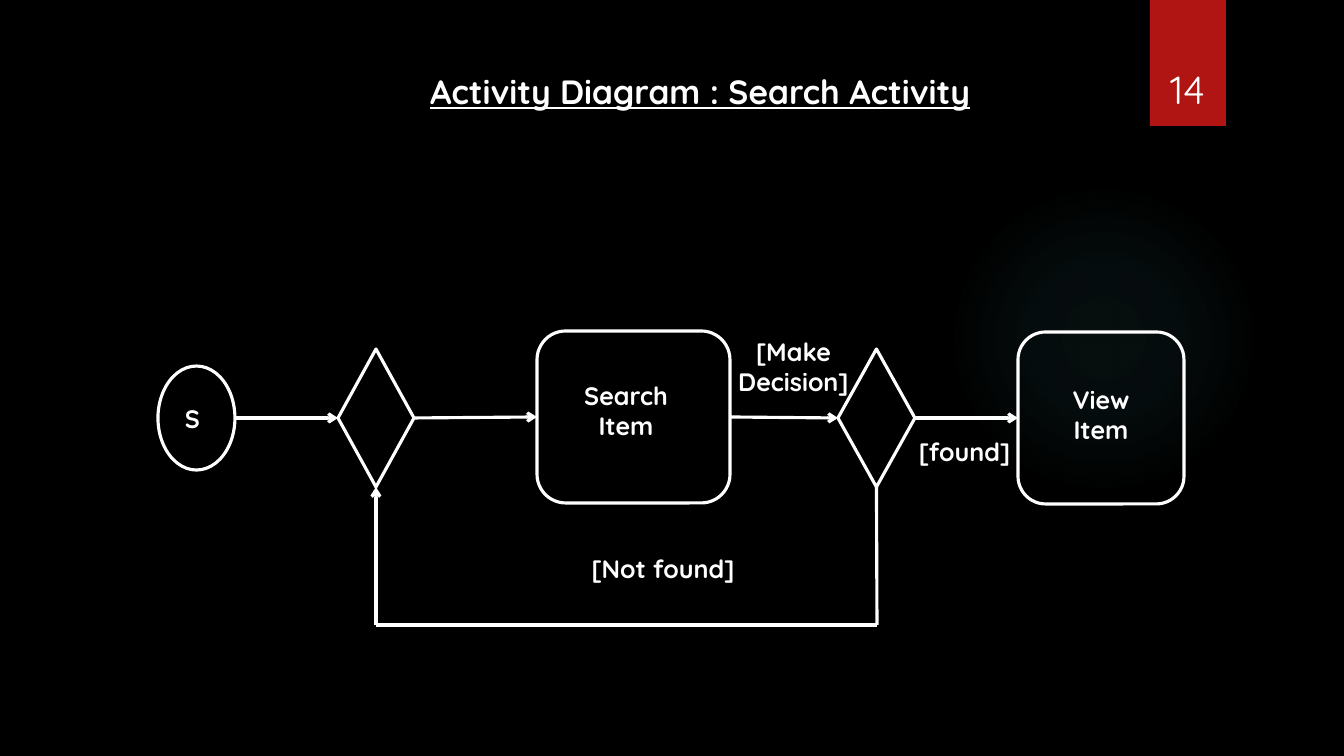
"""Build the search activity diagram slide."""
from dataclasses import dataclass

from lxml.etree import SubElement
from pptx import Presentation
from pptx.dml.color import RGBColor
from pptx.enum.shapes import MSO_CONNECTOR, MSO_SHAPE
from pptx.enum.text import MSO_ANCHOR, PP_ALIGN
from pptx.oxml import parse_xml
from pptx.oxml.ns import nsdecls, qn
from pptx.util import Pt


@dataclass(frozen=True)
class Theme:
    font: str = "Quicksand"
    background: RGBColor = RGBColor(0, 0, 0)
    ink: RGBColor = RGBColor(255, 255, 255)
    ribbon: RGBColor = RGBColor(0xB0, 0x15, 0x13)
    glow: str = "50B9C1"
    label_size: int = 18
    title_size: int = 24
    number_size: int = 28
    stroke: float = 2.25


THEME = Theme()
EMU_PER_PX = 914400 / 100.8
SLIDE_SIZE = (1344, 756)
TITLE = ("Activity Diagram : Search Activity", (420, 66, 624, 50))
PAGE_NUMBER = ("14", (1141, 32, 93, 85))
RIBBON_BOX = (1150, 0, 76, 126)
GLOW_BOX = (949, 184, 310, 310)
GLOW_STOPS = [(0, 7), (36, 6), (69, 0)]
TOP, LEFT, BOTTOM, RIGHT = range(4)

NODES = {
    "start": (MSO_SHAPE.OVAL, (158, 366, 77, 104)),
    "merge": (MSO_SHAPE.DIAMOND, (338, 349, 76, 138)),
    "search": (MSO_SHAPE.ROUNDED_RECTANGLE, (537, 331, 193, 172)),
    "decision": (MSO_SHAPE.DIAMOND, (838, 349, 77, 138)),
    "view": (MSO_SHAPE.ROUNDED_RECTANGLE, (1018, 332, 166, 172)),
}
START_EXIT = (235, 418)
LOOP_RIGHT = (877, 625)
LOOP_LEFT = (376, 625)
FLOWS = [
    (START_EXIT, ("merge", LEFT), True),
    (("merge", RIGHT), ("search", LEFT), True),
    (("search", RIGHT), ("decision", LEFT), True),
    (("decision", RIGHT), ("view", LEFT), True),
    (("decision", BOTTOM), LOOP_RIGHT, False),
    (LOOP_RIGHT, LOOP_LEFT, False),
    (LOOP_LEFT, ("merge", BOTTOM), True),
]
LABELS = [
    ("S", (175, 398, 49, 40), {"align": PP_ALIGN.LEFT}),
    ("Search Item", (568, 375, 116, 71), {}),
    ("View Item", (1039, 379, 124, 71), {}),
    ("[Make Decision]", (720, 331, 147, 71), {}),
    ("[found]", (889, 431, 151, 84), {"wrap": False}),
    ("[Not found]", (553, 548, 220, 84), {"wrap": False}),
]


def px(*lengths):
    """Turn pixel lengths into EMU."""
    return [round(length * EMU_PER_PX) for length in lengths]


def write(shape, text, size=THEME.label_size, bold=True, underline=False,
          align=PP_ALIGN.CENTER, anchor=MSO_ANCHOR.TOP, wrap=True):
    """Put formatted text into a shape."""
    frame = shape.text_frame
    frame.word_wrap = wrap
    frame.vertical_anchor = anchor
    paragraph = frame.paragraphs[0]
    paragraph.alignment = align
    run = paragraph.add_run()
    run.text = text
    run.font.name = THEME.font
    run.font.size = Pt(size)
    run.font.bold = bold
    run.font.underline = underline
    run.font.color.rgb = THEME.ink


def add_text(slide, text, box, **style):
    """Add a text box."""
    write(slide.shapes.add_textbox(*px(*box)), text, **style)


def add_shape(slide, kind, box, fill=None, outlined=False):
    """Add a preset shape with an optional fill and outline."""
    shape = slide.shapes.add_shape(kind, *px(*box))
    shape.shadow.inherit = False
    if fill is None:
        shape.fill.background()
    else:
        shape.fill.solid()
        shape.fill.fore_color.rgb = fill
    if outlined:
        shape.line.color.rgb = THEME.ink
        shape.line.width = Pt(THEME.stroke)
    else:
        shape.line.fill.background()
    return shape


def add_glow(slide):
    """Add the faint radial glow."""
    properties = add_shape(slide, MSO_SHAPE.OVAL, GLOW_BOX)._element.spPr
    stops = "".join(
        f'<a:gs pos="{position * 1000}"><a:srgbClr val="{THEME.glow}">'
        f'<a:alpha val="{alpha * 1000}"/></a:srgbClr></a:gs>'
        for position, alpha in GLOW_STOPS)
    gradient = parse_xml(
        f'<a:gradFill {nsdecls("a")} rotWithShape="1"><a:gsLst>{stops}</a:gsLst>'
        '<a:path path="circle"><a:fillToRect l="50000" t="50000" r="50000" '
        'b="50000"/></a:path></a:gradFill>')
    properties.replace(properties.find(qn("a:noFill")), gradient)


def add_flow(slide, nodes, start, end, arrow):
    """Draw a line between points or node sides."""
    def is_joint(place):
        return place[0] in nodes

    points = [(0, 0) if is_joint(place) else place for place in (start, end)]
    connector = slide.shapes.add_connector(
        MSO_CONNECTOR.STRAIGHT, *px(*points[0], *points[1]))
    if is_joint(start):
        connector.begin_connect(nodes[start[0]], start[1])
    if is_joint(end):
        connector.end_connect(nodes[end[0]], end[1])
    connector.line.color.rgb = THEME.ink
    connector.line.width = Pt(THEME.stroke)
    properties = connector._element.spPr
    if arrow:
        SubElement(properties.find(qn("a:ln")), qn("a:tailEnd"), type="arrow")
    SubElement(properties, qn("a:effectLst"))


def main():
    """Build and save the slide."""
    presentation = Presentation()
    presentation.slide_width, presentation.slide_height = px(*SLIDE_SIZE)
    slide = presentation.slides.add_slide(presentation.slide_layouts[5])
    slide.background.fill.solid()
    slide.background.fill.fore_color.rgb = THEME.background

    add_glow(slide)
    add_shape(slide, MSO_SHAPE.RECTANGLE, RIBBON_BOX, fill=THEME.ribbon)

    title_text, title_box = TITLE
    title = slide.shapes.title
    title.left, title.top, title.width, title.height = px(*title_box)
    write(title, title_text, size=THEME.title_size, underline=True,
          align=PP_ALIGN.LEFT)

    number, number_box = PAGE_NUMBER
    add_text(slide, number, number_box, size=THEME.number_size, bold=False,
             anchor=MSO_ANCHOR.BOTTOM)

    nodes = {name: add_shape(slide, kind, box, outlined=True)
             for name, (kind, box) in NODES.items()}
    for start, end, arrow in FLOWS:
        add_flow(slide, nodes, start, end, arrow)
    for text, box, style in LABELS:
        add_text(slide, text, box, **style)

    presentation.save("out.pptx")


if __name__ == "__main__":
    main()
